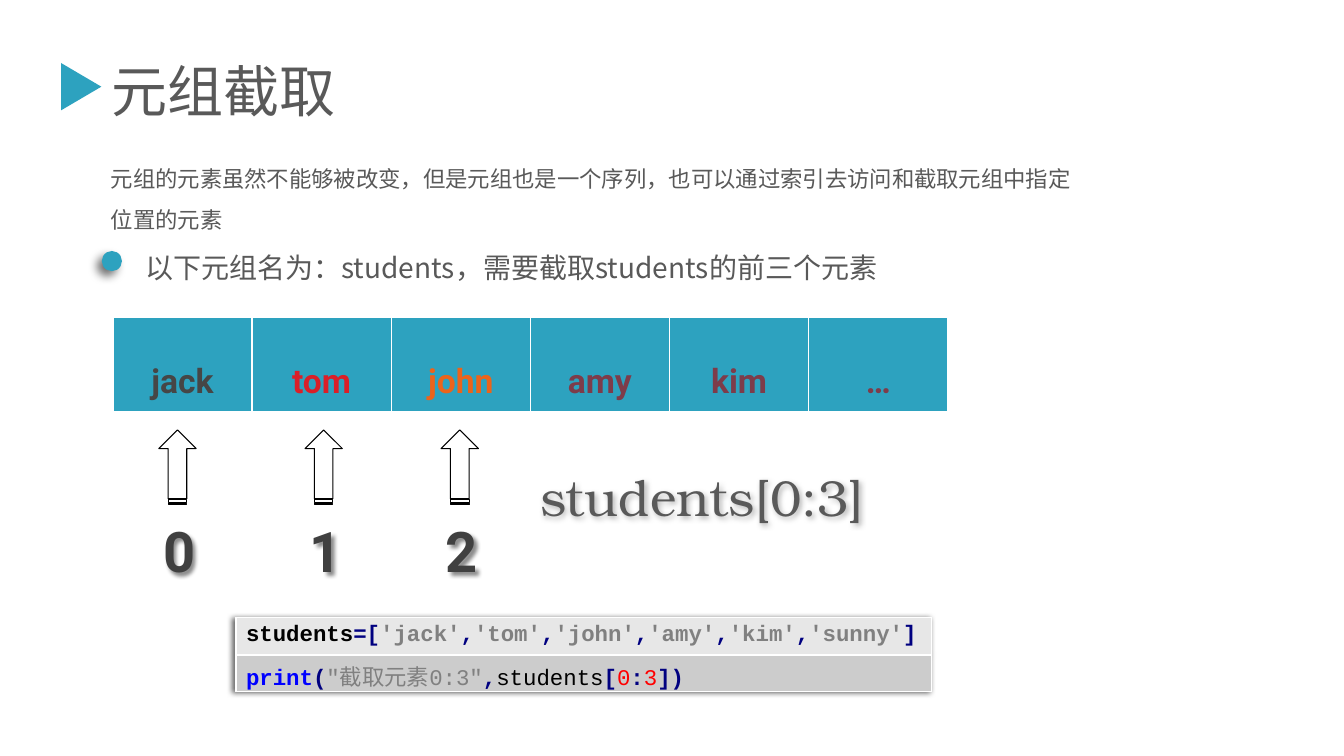
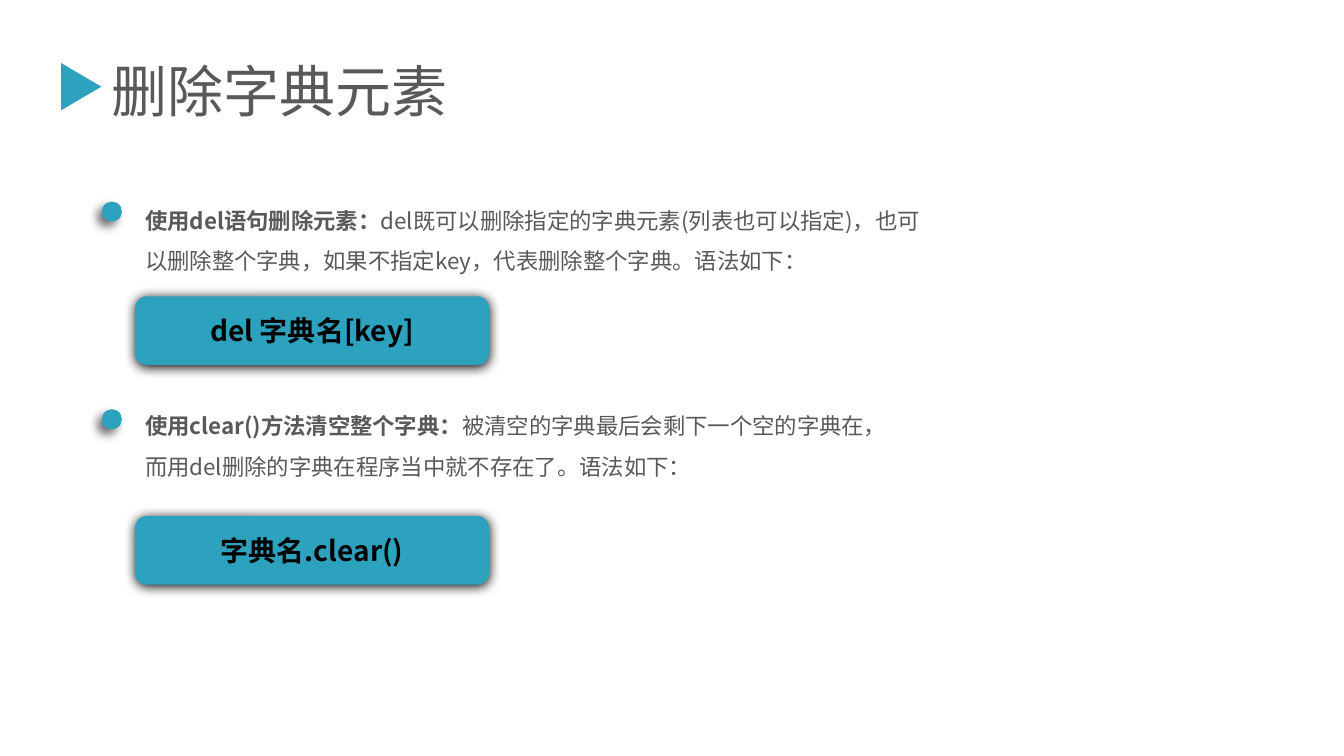
from lxml.etree import SubElement
from pptx import Presentation
from pptx.dml.color import RGBColor
from pptx.enum.shapes import MSO_SHAPE
from pptx.enum.text import MSO_ANCHOR, PP_ALIGN
from pptx.oxml.ns import qn
from pptx.util import Inches, Pt

WIDE, TALL = Inches(13.33), Inches(7.5)
COLS, ROWS = 133.3, 75

TEAL = RGBColor(0x2D, 0xA2, 0xBF)
GRAY = RGBColor(0x59, 0x59, 0x59)
DARK = RGBColor(0x40, 0x40, 0x40)
SLATE = RGBColor(0x46, 0x46, 0x46)
CRIMSON = RGBColor(0xDA, 0x1F, 0x28)
ORANGE = RGBColor(0xEB, 0x64, 0x1B)
PLUM = RGBColor(0x7D, 0x3C, 0x4A)
BLACK = RGBColor(0, 0, 0)
WHITE = RGBColor(0xFF, 0xFF, 0xFF)
NAVY = RGBColor(0, 0, 0x80)
BLUE = RGBColor(0, 0, 0xFF)
RED = RGBColor(0xFF, 0, 0)
MUTED = RGBColor(0x80, 0x80, 0x80)
PALE = RGBColor(0xE7, 0xE7, 0xE7)
SILVER = RGBColor(0xCC, 0xCC, 0xCC)

SANS = "Noto Sans CJK SC"
HEAD = dict(size=Pt(40), name=SANS, color=GRAY)
BODY = dict(HEAD, size=Pt(16))
LEAD = dict(HEAD, size=Pt(20))
LABEL = dict(LEAD, color=BLACK, bold=True)
DIGIT = dict(size=Pt(40), name="Roboto", color=DARK, bold=True)
NAME = dict(DIGIT, size=Pt(24))
SLICE = dict(size=Pt(36), name="TeX Gyre Bonum", color=GRAY)
CODE = dict(size=Pt(16), name="Courier New", bold=True)

DOT_GLOW = (57, 7, 5, 135)
KEY_GLOW = (100, 8.5, 1, 90)
DIGIT_GLOW = (45, 3, 3, 45)
SLICE_GLOW = (30, 4, 2, 45)
CODE_GLOW = (60, 4, 2, 180)


def across(cols):
    return round(WIDE * cols / COLS)


def down(rows):
    return round(TALL * rows / ROWS)


def place(box):
    x, y, wide, tall = box
    return across(x), down(y), across(wide), down(tall)


def assign(item, form):
    for key, value in form.items():
        setattr(item, key, value)


def glow(effects, alpha, blur, dist, angle):
    outer = SubElement(effects, qn("a:outerShdw"), blurRad=str(Pt(blur)),
                       dist=str(Pt(dist)), dir=str(angle * 60000),
                       algn="ctr", rotWithShape="0")
    tint = SubElement(outer, qn("a:srgbClr"), val=str(BLACK))
    SubElement(tint, qn("a:alpha"), val=str(alpha * 1000))


def shade(shape, shadow=None):
    shape.shadow.inherit = False
    if shadow:
        glow(shape._element.spPr.find(qn("a:effectLst")), *shadow)


def write(para, runs, **form):
    assign(para, form)
    for text, style in runs:
        run = para.add_run()
        run.text = text
        font = run.font
        font.color.rgb = style["color"]
        assign(font, {k: v for k, v in style.items() if k != "color"})
        SubElement(run._r.get_or_add_rPr(), qn("a:ea"), typeface=SANS)


def text(tree, box, runs, shadow=None, **form):
    area = tree.add_textbox(*place(box))
    area.text_frame.word_wrap = True
    write(area.text_frame.paragraphs[0], runs, **form)
    if shadow:
        shade(area, shadow)


def shape(tree, kind, box, fill=TEAL, shadow=None, turn=0):
    item = tree.add_shape(kind, *place(box))
    item.rotation = turn
    if fill is None:
        item.fill.background()
        item.line.color.rgb = BLACK
        item.line.width = Pt(0.75)
    else:
        item.fill.solid()
        item.fill.fore_color.rgb = fill
        item.line.fill.background()
    shade(item, shadow)
    return item


def title(slide, words, box=(5.7, 5.1, 69.6, 7.7)):
    x, y, wide, tall = box
    text(slide.shapes, (x + 4.4, y, wide - 4.4, tall), [(words, HEAD)])
    shape(slide.shapes, MSO_SHAPE.ISOSCELES_TRIANGLE, (x, y + 1.5, 4.7, 4), turn=90)


def bullet(slide, box, drop, runs, **form):
    x, y, wide, tall = box
    tree = slide.shapes.add_group_shape().shapes
    shape(tree, MSO_SHAPE.OVAL, (x, y + drop, 2, 2), shadow=DOT_GLOW)
    text(tree, (x + 3.3, y, wide - 3.3, tall), runs, **form)


def edge(cell, **sides):
    props = cell._tc.get_or_add_tcPr()
    for side, width in sides.items():
        line = SubElement(props, qn("a:ln" + side), w=str(Pt(width)))
        paint = SubElement(line, qn("a:solidFill"))
        SubElement(paint, qn("a:srgbClr"), val=str(WHITE))


def table(slide, box, rows, cols):
    grid = slide.shapes.add_table(rows, cols, *place(box)).table
    assign(grid, dict(first_row=False, horz_banding=False))
    return grid


def paint(cell, fill):
    cell.fill.solid()
    cell.fill.fore_color.rgb = fill


def names(slide, box):
    items = [("jack", SLATE), ("tom", CRIMSON), ("john", ORANGE),
             ("amy", PLUM), ("kim", PLUM), ("…", PLUM)]
    grid = table(slide, box, 1, len(items))
    for cell, (word, color) in zip(grid.iter_cells(), items):
        edge(cell, L=1, R=1, T=1, B=3)
        paint(cell, TEAL)
        write(cell.text_frame.paragraphs[0], [(word, dict(NAME, color=color))],
              alignment=PP_ALIGN.CENTER, line_spacing=2)


def index(slide, box, digit):
    x, y, wide, tall = box
    long, thick = wide, wide / 2
    shape(slide.shapes, MSO_SHAPE.STRIPED_RIGHT_ARROW,
          (x, y + thick / 2, long, thick), fill=None, turn=270)
    text(slide.shapes, (x + 1.3, y + tall - 7.7, wide - 1.3, 7.7),
         [(digit, DIGIT)], DIGIT_GLOW)


def code(slide, box):
    def token(word, color=NAVY, bold=True):
        return word, dict(CODE, color=color, bold=bold)

    first = [token("students", BLACK), token("=[")]
    for spot, name in enumerate(("jack", "tom", "john", "amy", "kim", "sunny")):
        if spot:
            first.append(token(","))
        first.append(token(f"'{name}'", MUTED))
    first.append(token("]"))
    second = [token("print", BLUE), token("("),
              token('"截取元素0:3"', MUTED, False), token(","),
              token("students", BLACK, False), token("["),
              token("0", RED, False), token(":"), token("3", RED, False),
              token("])")]
    grid = table(slide, box, 2, 1)
    glow(SubElement(grid._tbl.tblPr, qn("a:effectLst")), *CODE_GLOW)
    grid._tbl.tblPr.insert(0, grid._tbl.tblPr[-1])
    edge(grid.cell(0, 0), B=2)
    for cell, fill, runs in zip(grid.iter_cells(), (PALE, SILVER), (first, second)):
        paint(cell, fill)
        write(cell.text_frame.paragraphs[0], runs)


def syntax(slide, box, words):
    key = shape(slide.shapes, MSO_SHAPE.ROUNDED_RECTANGLE, box, shadow=KEY_GLOW)
    pad = Inches(0.03)
    assign(key.text_frame, dict(
        vertical_anchor=MSO_ANCHOR.MIDDLE, word_wrap=True, margin_left=pad,
        margin_right=pad, margin_top=pad, margin_bottom=pad))
    write(key.text_frame.paragraphs[0], [(words, LABEL)],
          alignment=PP_ALIGN.CENTER)


def method(slide, box, drop, lead, rest, gap, words):
    x, y, wide, tall = box
    bullet(slide, box, drop, [(lead, dict(BODY, bold=True)), (rest, BODY)],
           line_spacing=1.5)
    syntax(slide, (x + 3.3, y + tall + gap, 35.1, 6.8), words)


def cutting(slide):
    title(slide, "元组截取")
    text(slide.shapes, (10, 14.6, 98.1, 9.1),
         [("元组的元素虽然不能够被改变，但是元组也是一个序列，"
           "也可以通过索引去访问和截取元组中指定位置的元素", BODY)],
         line_spacing=1.5)
    bullet(slide, (10.1, 24.4, 78.4, 4.4), 0.5,
           [("以下元组名为：students，需要截取students的前三个元素", LEAD)])
    names(slide, (11.2, 31.5, 82.8, 9.5))
    for digit, x in enumerate((13.9, 28.4, 41.9)):
        index(slide, (x, 42.65, 7.4, 15.85), str(digit))
    text(slide.shapes, (52.6, 45.7, 60.5, 7.1), [("students[0:3]", SLICE)],
         SLICE_GLOW)
    code(slide, (23.4, 61.3, 69, 7.3))


def erasing(slide):
    title(slide, "删除字典元素")
    method(slide, (10.1, 18.7, 82.8, 9.1), 1.3, "使用del语句删除元素：",
           "del既可以删除指定的字典元素(列表也可以指定)，也可以删除整个字典，"
           "如果不指定key，代表删除整个字典。语法如下：", 1.6, "del 字典名[key]")
    method(slide, (10.1, 39.1, 78.4, 9.1), 1.5, "使用clear()方法清空整个字典：",
           "被清空的字典最后会剩下一个空的字典在，"
           "而用del删除的字典在程序当中就不存在了。语法如下：", 3, "字典名.clear()")


def main():
    deck = Presentation()
    assign(deck, dict(slide_width=WIDE, slide_height=TALL))
    for build in (cutting, erasing):
        build(deck.slides.add_slide(deck.slide_layouts[6]))
    deck.save("out.pptx")


if __name__ == "__main__":
    main()
